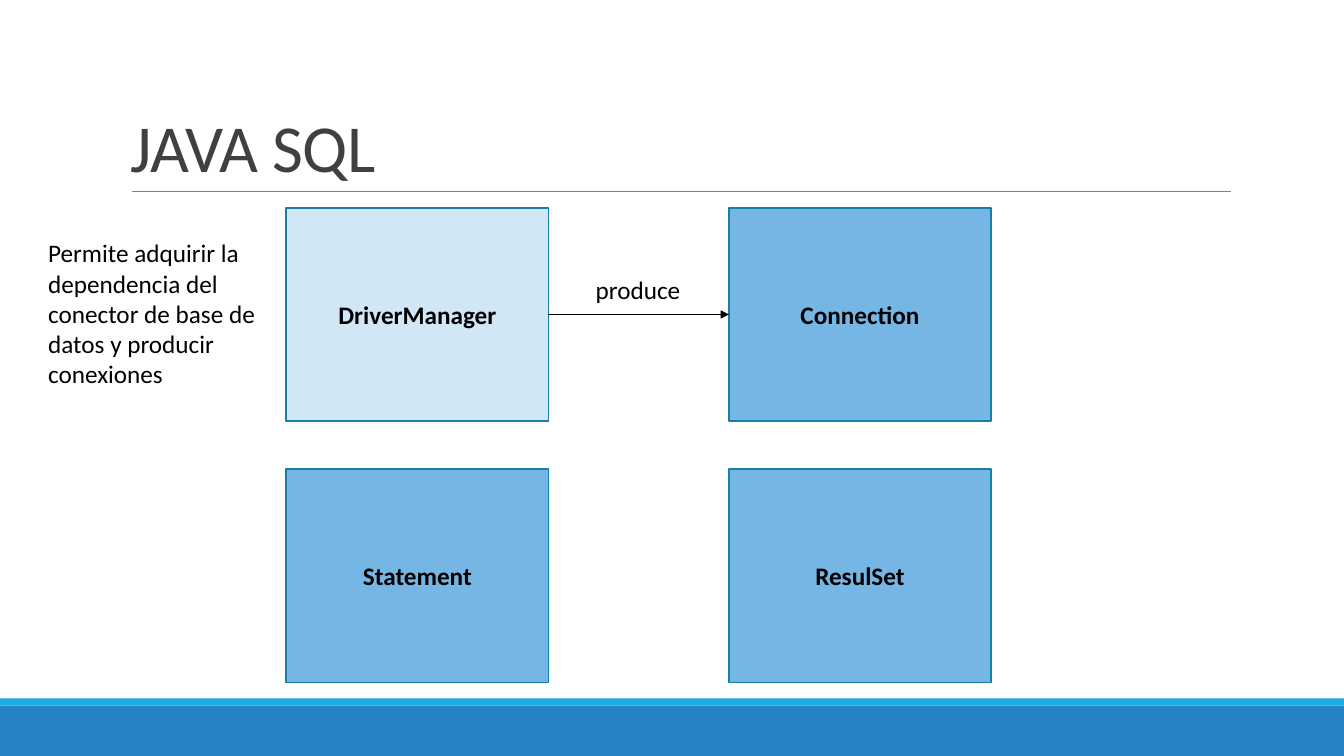
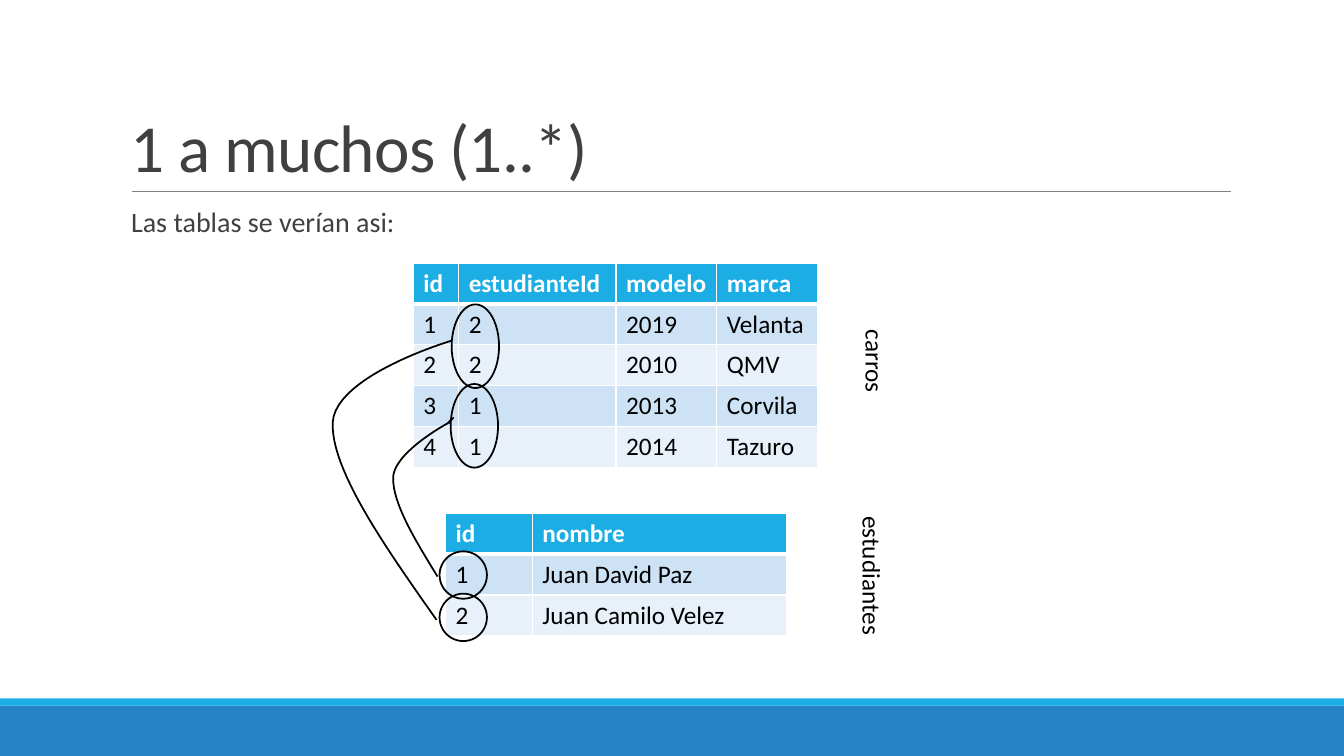
from lxml import etree
from pptx import Presentation
from pptx.dml.color import RGBColor
from pptx.enum.shapes import MSO_CONNECTOR, MSO_SHAPE
from pptx.enum.text import MSO_ANCHOR, PP_ALIGN
from pptx.oxml.ns import qn
from pptx.util import Inches, Pt

RECT, OVAL = MSO_SHAPE.RECTANGLE, MSO_SHAPE.OVAL
STRAIGHT = MSO_CONNECTOR.STRAIGHT
TOP, MIDDLE, BOTTOM = MSO_ANCHOR.TOP, MSO_ANCHOR.MIDDLE, MSO_ANCHOR.BOTTOM
LEFT, CENTER = PP_ALIGN.LEFT, PP_ALIGN.CENTER

BLACK = RGBColor(0x00, 0x00, 0x00)
WHITE = RGBColor(0xFF, 0xFF, 0xFF)
DARK = RGBColor(0x40, 0x40, 0x40)
GRAY = RGBColor(0x80, 0x80, 0x80)
BLUE = RGBColor(0x26, 0x83, 0xC6)
CYAN = RGBColor(0x1C, 0xAD, 0xE4)
EDGE = RGBColor(0x15, 0x80, 0xA9)
SKY = RGBColor(0x75, 0xB6, 0xE5)
PALE = RGBColor(0xD1, 0xE7, 0xF6)
STRIPES = (RGBColor(0xCD, 0xE3, 0xF5), RGBColor(0xE8, 0xF1, 0xFA))

# Content: class diagram
CLASSES = [["DriverManager", "Connection"], ["Statement", "ResulSet"]]
HIGHLIGHT = "DriverManager"
CLASS_LEFT, CLASS_TOP = 2.84, 2.06
CLASS_WIDTH, CLASS_HEIGHT = 2.6, 2.12
COLUMN_STEP, ROW_STEP = 4.39, 2.59
MANAGER_NOTE = ("Permite adquirir la dependencia del conector de base de datos "
                "y producir conexiones")

# Content: related tables (left, top, height, column widths, rows)
TABLES = [
    (4.1, 2.61, 2.03, (0.45, 1.56, 1, 1), [
        ("id", "estudianteId", "modelo", "marca"),
        ("1", "2", "2019", "Velanta"),
        ("2", "2", "2010", "QMV"),
        ("3", "1", "2013", "Corvila"),
        ("4", "1", "2014", "Tazuro"),
    ]),
    (4.42, 5.09, 1.22, (0.86, 2.52), [
        ("id", "nombre"),
        ("1", "Juan David Paz"),
        ("2", "Juan Camilo Velez"),
    ]),
]
TABLE_NAMES = [("carros", (8.27, 3.39, 0.83, 0.4)),
               ("estudiantes", (7.96, 5.52, 1.39, 0.4))]
KEY_RINGS = [(4.36, 5.89, 0.47, 0.47), (4.36, 5.47, 0.47, 0.47),
             (4.47, 3.81, 0.47, 0.83), (4.48, 3.02, 0.47, 0.83)]
# Each link: a start point, then cubic curves (two controls and an end)
KEY_LINKS = [
    ((4.34, 5.72), [((4.12, 5.36), (3.89, 4.99), (3.9, 4.73)),
                    ((3.92, 4.48), (4.44, 4.2), (4.44, 4.2)),
                    ((4.53, 4.11), (4.49, 4.15), (4.45, 4.2))]),
    ((4.33, 6.15), [((3.8, 5.4), (3.28, 4.65), (3.3, 4.19)),
                    ((3.33, 3.72), (4.48, 3.38), (4.48, 3.38))]),
]
CURVE_STEPS = 24


# Shared helpers
def set_format(target, values):
    for name, value in values.items():
        setattr(target, name, value)


def inches(values):
    return [Inches(value) for value in values]


def write(frame, text, size=18, color=BLACK, bold=False, align=LEFT,
          anchor=TOP, wrap=True, **para_format):
    set_format(frame, {"word_wrap": wrap, "vertical_anchor": anchor})
    para = frame.paragraphs[0]
    set_format(para, {"alignment": align, **para_format})
    span = para.add_run()
    span.text = text
    set_format(span.font, {"name": "Calibri", "size": Pt(size), "bold": bold})
    span.font.color.rgb = color
    return span


def add_text(page, area, text, **style):
    box = page.shapes.add_textbox(*inches(area))
    return box, write(box.text_frame, text, **style)


def paint(shape, fill=None, line=None, width=1.25):
    shape.shadow.inherit = False
    for part, color in ((shape.fill, fill), (shape.line.fill, line)):
        if color is None:
            part.background()
        else:
            part.solid()
            part.fore_color.rgb = color
    if line is not None:
        shape.line.width = Pt(width)


def add_box(page, kind, area, **colors):
    box = page.shapes.add_shape(kind, *inches(area))
    paint(box, **colors)
    return box


def add_line(page, start, end, color, width):
    line = page.shapes.add_connector(STRAIGHT, *inches(start + end))
    line.line.color.rgb = color
    line.line.width = Pt(width)
    etree.SubElement(line._element.spPr, qn("a:effectLst"))
    return line


def add_page(deck, title):
    page = deck.slides.add_slide(deck.slide_layouts[6])
    add_box(page, RECT, (0, 7, 13.33, 0.5), fill=BLUE)
    add_box(page, RECT, (0, 6.93, 13.33, 0.07), fill=CYAN)
    add_line(page, (1.31, 1.9), (12.21, 1.9), GRAY, 0.5)
    _, span = add_text(page, (1.2, 0.31, 11, 1.59), title, size=48,
                       color=DARK, anchor=BOTTOM, line_spacing=0.85)
    span.font._element.set("spc", "-50")
    return page


def set_borders(cell, widths):
    properties = cell._tc.get_or_add_tcPr()
    for side, width in widths.items():
        edge = etree.SubElement(properties, qn("a:ln" + side), w=str(Pt(width)))
        fill = etree.SubElement(edge, qn("a:solidFill"))
        etree.SubElement(fill, qn("a:srgbClr"), val=str(WHITE))


def add_grid(page, left, top, height, widths, rows):
    area = inches((left, top, sum(widths), height))
    table = page.shapes.add_table(len(rows), len(widths), *area).table
    table.horz_banding = False
    for column, width in zip(table.columns, widths):
        column.width = Inches(width)
    for r, row in enumerate(rows):
        header = r == 0
        for c, text in enumerate(row):
            cell = table.cell(r, c)
            set_borders(cell, {"L": 1, "R": 1, "T": 3 if r == 1 else 1,
                               "B": 3 if header else 1})
            cell.fill.solid()
            cell.fill.fore_color.rgb = CYAN if header else STRIPES[(r - 1) % 2]
            write(cell.text_frame, text, bold=header,
                  color=WHITE if header else BLACK)


def curve_points(start, curves):
    points = []
    for first, second, end in curves:
        for step in range(1, CURVE_STEPS + 1):
            t = step / CURVE_STEPS
            weights = ((1 - t) ** 3, 3 * t * (1 - t) ** 2,
                       3 * t ** 2 * (1 - t), t ** 3)
            corners = (start, first, second, end)
            points.append(tuple(
                Inches(sum(w * corner[axis] for w, corner in zip(weights, corners)))
                for axis in (0, 1)))
        start = end
    return points


deck = Presentation()
set_format(deck, {"slide_width": Inches(13.33), "slide_height": Inches(7.5)})

# Class diagram
page = add_page(deck, "JAVA SQL")
class_boxes = {}
for r, names in enumerate(CLASSES):
    for c, name in enumerate(names):
        area = (CLASS_LEFT + c * COLUMN_STEP, CLASS_TOP + r * ROW_STEP,
                CLASS_WIDTH, CLASS_HEIGHT)
        box = add_box(page, RECT, area, line=EDGE,
                      fill=PALE if name == HIGHLIGHT else SKY)
        write(box.text_frame, name, bold=True, align=CENTER, anchor=MIDDLE)
        class_boxes[name] = box
add_text(page, (0.38, 2.31, 2.3, 1.62), MANAGER_NOTE)
arrow = add_line(page, (5.44, 3.12), (7.23, 3.12), BLACK, 1)
arrow.begin_connect(class_boxes["DriverManager"], 3)
arrow.end_connect(class_boxes["Connection"], 1)
etree.SubElement(arrow.line._get_or_add_ln(), qn("a:tailEnd"), type="triangle")
add_text(page, (5.81, 2.67, 1.05, 0.4), "produce", wrap=False)

# One-to-many tables
page = add_page(deck, "1 a muchos (1..*)")
intro, _ = add_text(page, (1.3, 2.02, 10.9, 4.4), "Las tablas se verían asi:",
                    size=20, color=DARK, line_spacing=0.9,
                    space_before=Pt(12), space_after=Pt(2))
set_format(intro.text_frame, {"margin_left": 0, "margin_right": 0})
for table in TABLES:
    add_grid(page, *table)
for name, area in TABLE_NAMES:
    label, _ = add_text(page, area, name, wrap=False)
    label.rotation = 90
for ring in KEY_RINGS:
    add_box(page, OVAL, ring, line=BLACK)
for start, curves in KEY_LINKS:
    builder = page.shapes.build_freeform(*inches(start))
    builder.add_line_segments(curve_points(start, curves), close=False)
    paint(builder.convert_to_shape(), line=BLACK)

deck.save("out.pptx")
